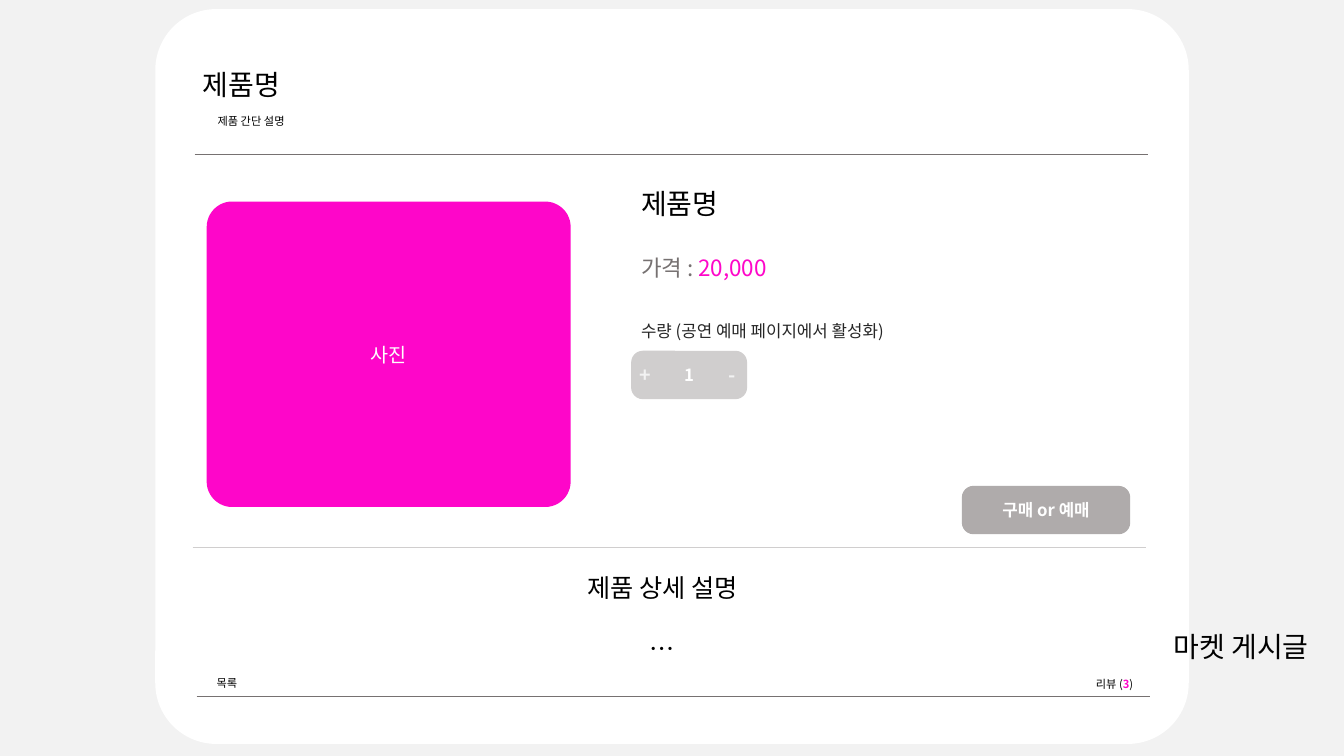
from lxml.etree import SubElement
from pptx import Presentation
from pptx.dml.color import RGBColor
from pptx.enum.shapes import MSO_CONNECTOR as Connector, MSO_SHAPE as Shape
from pptx.enum.text import MSO_ANCHOR as Anchor, PP_ALIGN as Align
from pptx.oxml.ns import qn
from pptx.util import Inches, Pt

FONT = "Noto Sans CJK KR"
LINE_HEIGHT = 1.2
BLACK, WHITE, PAGE = "000000", "FFFFFF", "F2F2F2"
PINK, GREY, SILVER, TAUPE, INK = "FE06C9", "767171", "D0CECE", "AFABAB", "262626"


def color(code):
    return RGBColor.from_string(code)


def line(*runs, size, gap=0, indent=0):
    """One paragraph: runs are (text, colour) or (text, colour, bold)."""
    return {"runs": runs, "size": size, "gap": gap, "indent": indent}


class Page:
    def __init__(self, slide):
        self.slide = slide
        self.shapes = slide.shapes
        slide.background.fill.solid()
        slide.background.fill.fore_color.rgb = color(PAGE)

    def start_group(self):
        self.shapes = self.slide.shapes.add_group_shape().shapes

    def end_group(self):
        self.shapes = self.slide.shapes

    def fill_text(self, frame, lines, align):
        frame.word_wrap = True
        for i, item in enumerate(lines):
            paragraph = frame.add_paragraph() if i else frame.paragraphs[0]
            if item["indent"]:
                properties = paragraph._p.get_or_add_pPr()
                properties.set("marL", str(Inches(item["indent"])))
            layout = {"alignment": align,
                      "line_spacing": Pt(item["size"] * LINE_HEIGHT),
                      "space_before": Pt(item["gap"] * LINE_HEIGHT)}
            for name, value in layout.items():
                setattr(paragraph, name, value)
            for text, code, *bold in item["runs"]:
                run = paragraph.add_run()
                run.text = text
                style = {"name": FONT, "size": Pt(item["size"]), "bold": bool(bold)}
                for name, value in style.items():
                    setattr(run.font, name, value)
                run.font.color.rgb = color(code)
                SubElement(run._r.get_or_add_rPr(), qn("a:ea"), typeface=FONT)

    def text(self, left, top, width, height, *lines, align=Align.LEFT):
        frame = self.shapes.add_textbox(*map(Inches, (left, top, width, height))).text_frame
        if align == Align.LEFT:
            frame.margin_right = 0
        self.fill_text(frame, lines, align)

    def rounded(self, left, top, width, height, *lines, fill=None, radius=0.24):
        panel = self.shapes.add_shape(
            Shape.ROUNDED_RECTANGLE, *map(Inches, (left, top, width, height)))
        panel.adjustments[0] = radius
        panel.shadow.inherit = False
        panel.line.fill.background()
        if fill:
            panel.fill.solid()
            panel.fill.fore_color.rgb = color(fill)
        else:
            panel.fill.background()
        panel.text_frame.vertical_anchor = Anchor.MIDDLE
        self.fill_text(panel.text_frame, lines, Align.CENTER)

    def rule(self, left, top, code, width=9.46):
        """Thin horizontal divider."""
        divider = self.shapes.add_connector(
            Connector.STRAIGHT, *map(Inches, (left, top, left + width, top)))
        divider.line.color.rgb = color(code)
        divider.line.width = Pt(0.5)
        SubElement(divider._element.spPr, qn("a:effectLst"))


def main():
    deck = Presentation()
    deck.slide_width, deck.slide_height = Inches(13.33), Inches(7.5)
    page = Page(deck.slides.add_slide(deck.slide_layouts[6]))

    # Card with its heading
    page.start_group()
    page.rounded(1.54, 0.09, 10.25, 7.29, fill=WHITE, radius=0.083)
    page.text(1.91, 0.62, 3.76, 0.71,
              line(("제품명", BLACK), size=20),
              line(("제품 간단 설명", BLACK), size=8, gap=8, indent=0.15))
    page.rule(1.93, 1.53, GREY)
    page.end_group()

    # Photo and product facts
    page.rounded(2.05, 2, 3.61, 3.03, line(("사진", WHITE), size=14),
                 fill=PINK, radius=0.083)
    page.text(6.26, 1.8, 4.5, 2.89,
              line(("제품명", BLACK), size=20),
              line(("가격 : ", GREY), ("20,000", PINK), size=16, gap=20),
              line(("수량 (공연 예매 페이지에서 활성화)", INK), size=12, gap=24))

    # Footer and page label
    page.text(10.77, 6.67, 0.64, 0.24,
              line(("리뷰 (", BLACK), ("3", PINK, True), (")", BLACK), size=8))
    page.text(10.55, 6.2, 3.52, 0.44, line(("마켓 게시글", BLACK), size=20),
              align=Align.CENTER)
    page.rule(1.95, 6.91, GREY)

    # Quantity stepper
    page.start_group()
    page.rounded(6.26, 3.48, 1.15, 0.48, line(("1", WHITE, True), size=12), fill=SILVER)
    page.rounded(6.21, 3.56, 0.38, 0.32, line(("+", PAGE, True), size=14))
    page.rounded(7.08, 3.57, 0.36, 0.3, line(("-", PAGE, True), size=14))
    page.end_group()

    # Purchase button and details
    page.rounded(9.54, 4.82, 1.67, 0.48, line(("구매 or 예매", WHITE, True), size=12),
                 fill=TAUPE)
    page.rule(1.91, 5.43, SILVER)
    page.text(4.69, 5.63, 3.76, 1.01,
              line(("제품 상세 설명", BLACK), size=18),
              line(("…", BLACK), size=18, gap=18), align=Align.CENTER)
    page.text(2.05, 6.66, 0.46, 0.24, line(("목록", BLACK), size=8))

    deck.save("out.pptx")


if __name__ == "__main__":
    main()
